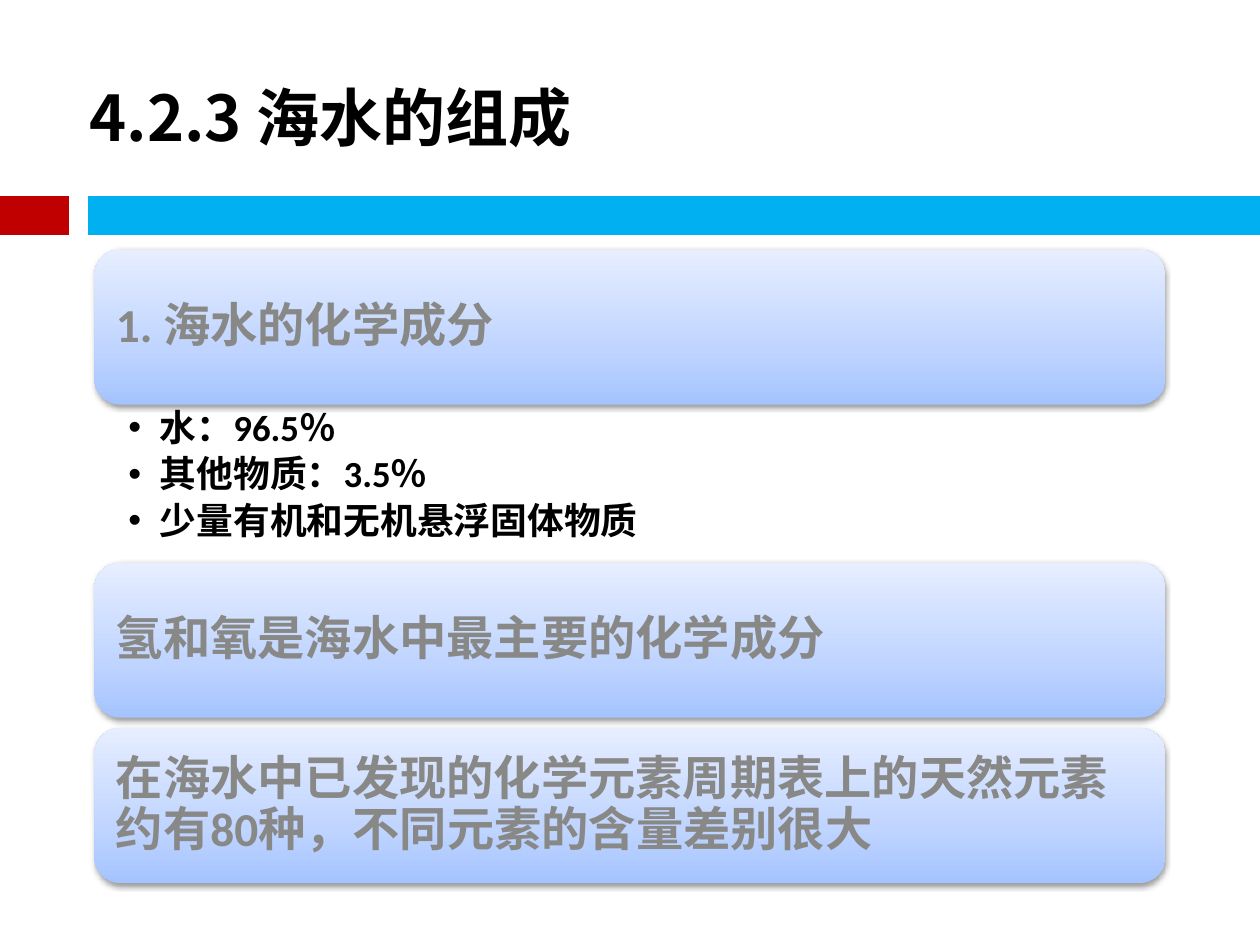
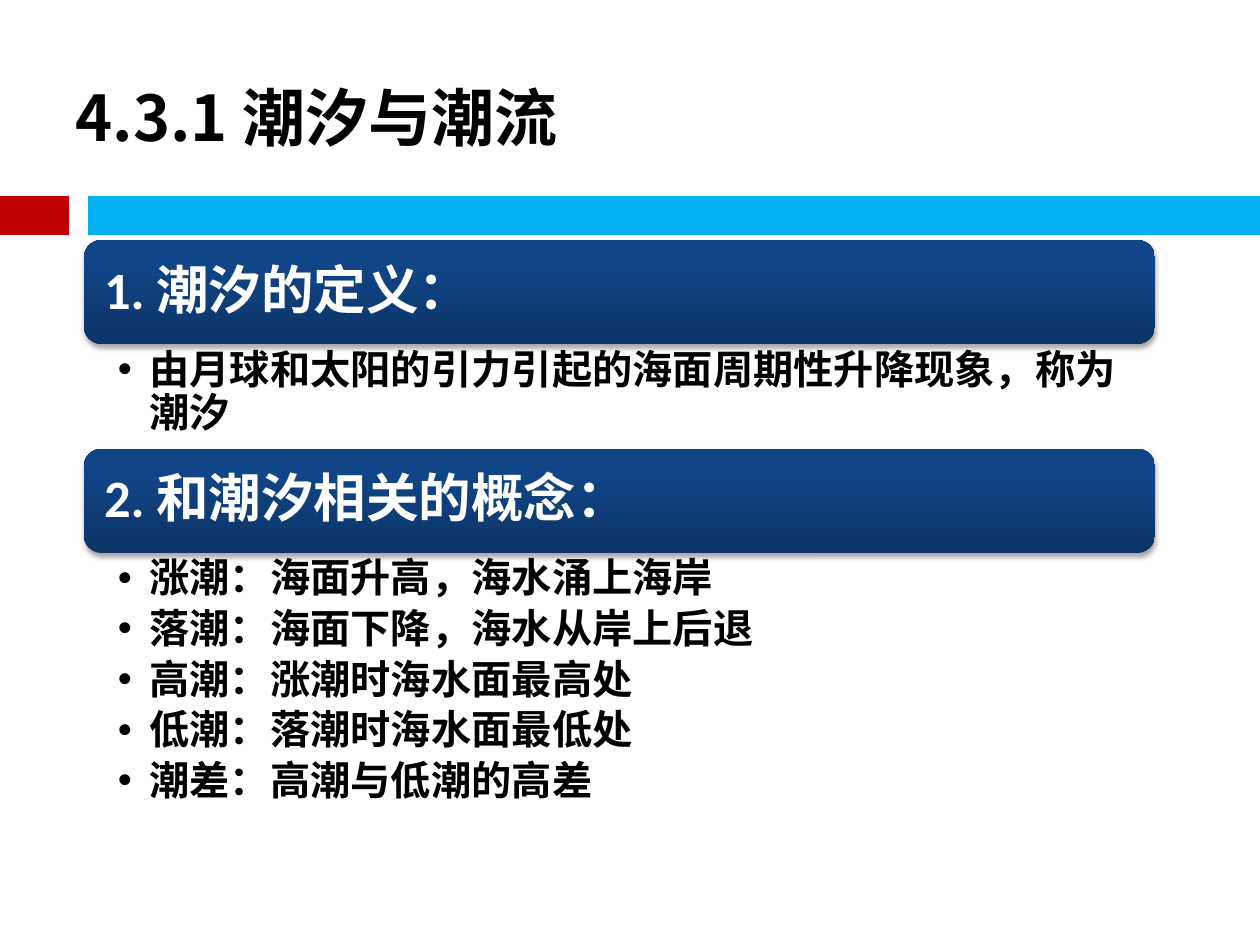
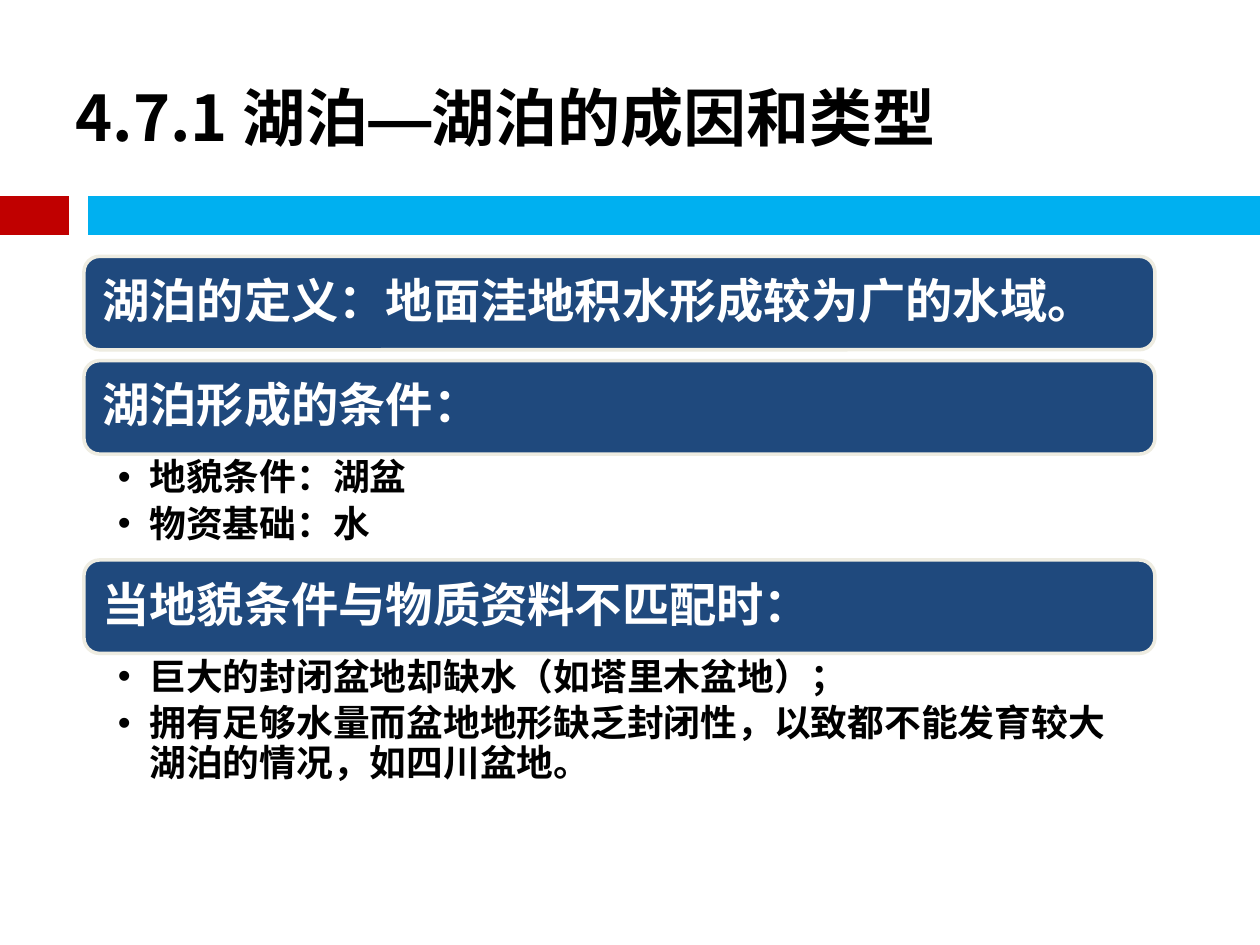
from lxml import etree
from pptx import Presentation
from pptx.dml.color import RGBColor
from pptx.enum.shapes import MSO_CONNECTOR, MSO_SHAPE
from pptx.enum.text import MSO_ANCHOR, MSO_AUTO_SIZE, PP_ALIGN
from pptx.oxml.ns import qn
from pptx.util import Pt

STRAIGHT = MSO_CONNECTOR.STRAIGHT
ROUNDED = MSO_SHAPE.ROUNDED_RECTANGLE
TOP, MIDDLE = MSO_ANCHOR.TOP, MSO_ANCHOR.MIDDLE
LEFT = PP_ALIGN.LEFT
NO_AUTOFIT = MSO_AUTO_SIZE.NONE

BLACK = RGBColor(0x00, 0x00, 0x00)
WHITE = RGBColor(0xFF, 0xFF, 0xFF)
GRAY = RGBColor(0x88, 0x88, 0x87)
RED = RGBColor(0xC0, 0x00, 0x00)
SKY = RGBColor(0x00, 0xB0, 0xF0)
NAVY = RGBColor(0x1F, 0x49, 0x7D)
CREAM = RGBColor(0xEE, 0xEC, 0xE1)
PALE_STOPS = [(0, RGBColor(0xA4, 0xC4, 0xFF)), (35, RGBColor(0xBF, 0xD4, 0xFF)),
              (100, RGBColor(0xE6, 0xEE, 0xFF))]
DEEP_STOPS = [(0, RGBColor(0x0D, 0x35, 0x68)), (80, RGBColor(0x10, 0x45, 0x87)),
              (100, RGBColor(0x0E, 0x45, 0x8A))]

TITLE_FONT, BODY_FONT = "Noto Sans CJK SC", "Calibri"
SLIDE_WIDTH, SLIDE_HEIGHT = 720, 540
CARD_WIDTH = 612
BAND_Y, BAND_WEIGHT = 123.1, 22
BANDS = [(0, 39.5, RED), (50.5, SLIDE_WIDTH, SKY)]
LAYOUT_BY_LIST_COUNT = {1: 1, 2: 3}  # one or two body placeholders

# Content: each section is (heading, list height, list items)
SLIDES = [
    dict(
        title=[("4.2.3 海水的组成", TITLE_FONT)], title_indent=8,
        left=54, top=142.6, card_height=88.6, gap=5.9,
        heading_size=27, list_size=21, heading_color=GRAY, inset=7.9,
        stops=PALE_STOPS, shadow=(38, 1.6),
        sections=[
            ("1. 海水的化学成分", 90.3,
             ["水：96.5％", "其他物质：3.5％", "少量有机和无机悬浮固体物质"]),
            ("氢和氧是海水中最主要的化学成分", 0, []),
            ("在海水中已发现的化学元素周期表上的天然元素约有80种，不同元素的含量差别很大", 0, []),
        ]),
    dict(
        title=[("4.3.1 潮汐与潮流", TITLE_FONT)], title_indent=0,
        left=48, top=137.2, card_height=59.5, gap=0,
        heading_size=30, list_size=23, heading_color=WHITE, inset=8.6,
        stops=DEEP_STOPS, shadow=(35, 1.8),
        sections=[
            ("1. 潮汐的定义：", 59.8,
             ["由月球和太阳的引力引起的海面周期性升降现象，称为潮汐"]),
            ("2. 和潮汐相关的概念：", 166.3,
             ["涨潮：海面升高，海水涌上海岸", "落潮：海面下降，海水从岸上后退",
              "高潮：涨潮时海水面最高处", "低潮：落潮时海水面最低处",
              "潮差：高潮与低潮的高差"]),
        ]),
    dict(
        title=[("4.7.1 湖泊", TITLE_FONT), ("—", "Arial"),
               ("湖泊的成因和类型", TITLE_FONT)], title_indent=0,
        left=48, top=146.5, card_height=53.4, gap=6.2,
        heading_size=27, list_size=21, heading_color=WHITE, inset=7.9,
        stops=None, shadow=None,
        sections=[
            ("湖泊的定义：地面洼地积水形成较为广的水域。", 0, []),
            ("湖泊形成的条件：", 60.5, ["地貌条件：湖盆", "物资基础：水"]),
            ("当地貌条件与物质资料不匹配时：", 85.7,
             ["巨大的封闭盆地却缺水（如塔里木盆地）；",
              "拥有足够水量而盆地地形缺乏封闭性，以致都不能发育较大湖泊的情况，如四川盆地。"]),
        ]),
]


def place(shape, left, top, width, height):
    shape.left, shape.top = Pt(left), Pt(top)
    shape.width, shape.height = Pt(width), Pt(height)


def write_text(frame, paragraphs, *, size, color, insets, anchor=TOP,
               line_spacing=None, space_after=0, bullet=False):
    """Fill a frame; every paragraph is a list of (text, font name) runs."""
    frame.word_wrap = True
    frame.auto_size = NO_AUTOFIT
    frame.vertical_anchor = anchor
    (frame.margin_left, frame.margin_top,
     frame.margin_right, frame.margin_bottom) = [Pt(inset) for inset in insets]
    for index, runs in enumerate(paragraphs):
        paragraph = frame.add_paragraph() if index else frame.paragraphs[0]
        if bullet:
            properties = paragraph._p.get_or_add_pPr()
            properties.set("marL", str(Pt(18)))
            properties.set("indent", str(-Pt(18)))
            etree.SubElement(properties, qn("a:buChar")).set("char", "•")
        paragraph.alignment = LEFT
        paragraph.space_before = Pt(0)
        paragraph.space_after = Pt(space_after)
        if line_spacing:
            paragraph.line_spacing = line_spacing
        for text, font_name in runs:
            run = paragraph.add_run()
            run.text = text
            run.font.name, run.font.size, run.font.bold = font_name, Pt(size), True
            run.font.color.rgb = color
            east_asian = etree.Element(qn("a:ea"), typeface=font_name)
            run.font._element.find(qn("a:latin")).addnext(east_asian)


def add_color(parent, color):
    element = etree.SubElement(parent, qn("a:srgbClr"))
    element.set("val", str(color))
    return element


def fill_gradient(shape, stops):
    shape.fill.gradient()
    shape.fill.gradient_angle = 90
    stop_list = shape.element.spPr.find(".//" + qn("a:gsLst"))
    for stop in list(stop_list):
        stop_list.remove(stop)
    for position, color in stops:
        stop = etree.SubElement(stop_list, qn("a:gs"))
        stop.set("pos", str(position * 1000))
        add_color(stop, color)


def add_shadow(shape, opacity, distance):
    effects = shape.element.spPr.find(qn("a:effectLst"))
    shadow = etree.SubElement(effects, qn("a:outerShdw"))
    for name, value in (("blurRad", Pt(3.1)), ("dist", Pt(distance)),
                        ("dir", 90 * 60000), ("rotWithShape", 0)):
        shadow.set(name, str(int(value)))
    alpha = etree.SubElement(add_color(shadow, BLACK), qn("a:alpha"))
    alpha.set("val", str(opacity * 1000))


def add_card(slide, content, heading, top):
    card = slide.shapes.add_shape(ROUNDED, Pt(content["left"]), Pt(top),
                                  Pt(CARD_WIDTH), Pt(content["card_height"]))
    card.shadow.inherit = False
    if content["stops"]:
        fill_gradient(card, content["stops"])
        card.line.fill.background()
        add_shadow(card, *content["shadow"])
    else:
        card.fill.solid()
        card.fill.fore_color.rgb = NAVY
        card.line.color.rgb = CREAM
        card.line.width = Pt(2)
    write_text(card.text_frame, [[(heading, BODY_FONT)]],
               size=content["heading_size"], color=content["heading_color"],
               insets=[content["inset"]] * 4, anchor=MIDDLE, line_spacing=0.9)


def add_bands(presentation, slide):
    """Draw the two bands, then hand them to the master so all slides show them."""
    master_tree = presentation.slide_master.shapes.element
    for number, (start, end, color) in enumerate(BANDS, 20):
        band = slide.shapes.add_connector(STRAIGHT, Pt(start), Pt(BAND_Y),
                                          Pt(end), Pt(BAND_Y))
        band.line.color.rgb = color
        band.line.width = Pt(BAND_WEIGHT)
        etree.SubElement(band.element.spPr, qn("a:effectLst"))
        band.element.nvCxnSpPr.cNvPr.set("id", str(number))
        master_tree.append(band.element)


def build_slide(presentation, content):
    list_count = sum(bool(items) for _, _, items in content["sections"])
    layout = presentation.slide_layouts[LAYOUT_BY_LIST_COUNT[list_count]]
    slide = presentation.slides.add_slide(layout)

    # Title
    title = slide.shapes.title
    place(title, 36, 21.6, 648, 90)
    write_text(title.text_frame, [content["title"]], size=36, color=BLACK,
               insets=(7.2 + content["title_indent"], 3.6, 7.2, 3.6), anchor=MIDDLE)

    # Cards with their lists, stacked downwards
    bodies = iter(list(slide.placeholders)[1:])
    top = content["top"]
    for heading, list_height, items in content["sections"]:
        add_card(slide, content, heading, top)
        top += content["card_height"]
        if items:
            body = next(bodies)
            place(body, content["left"], top, CARD_WIDTH, list_height)
            size = content["list_size"]
            write_text(body.text_frame, [[(item, BODY_FONT)] for item in items],
                       size=size, color=BLACK, insets=(19.4, 2.9, 15.5, 2.9),
                       line_spacing=0.9, space_after=round(size * 0.18, 1), bullet=True)
            top += list_height
        else:
            top += content["gap"]
    return slide


def main():
    presentation = Presentation()
    presentation.slide_width, presentation.slide_height = Pt(SLIDE_WIDTH), Pt(SLIDE_HEIGHT)
    slides = [build_slide(presentation, content) for content in SLIDES]
    add_bands(presentation, slides[0])
    presentation.save("out.pptx")


if __name__ == "__main__":
    main()
